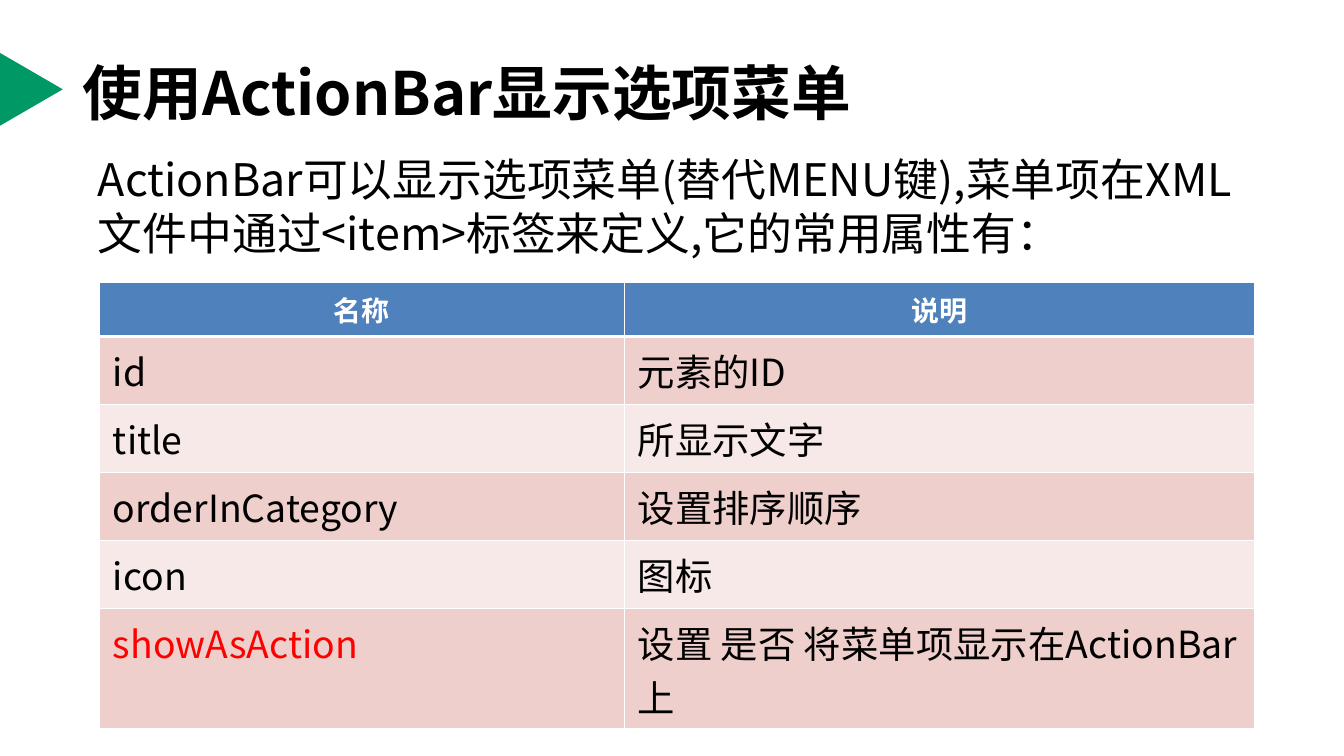
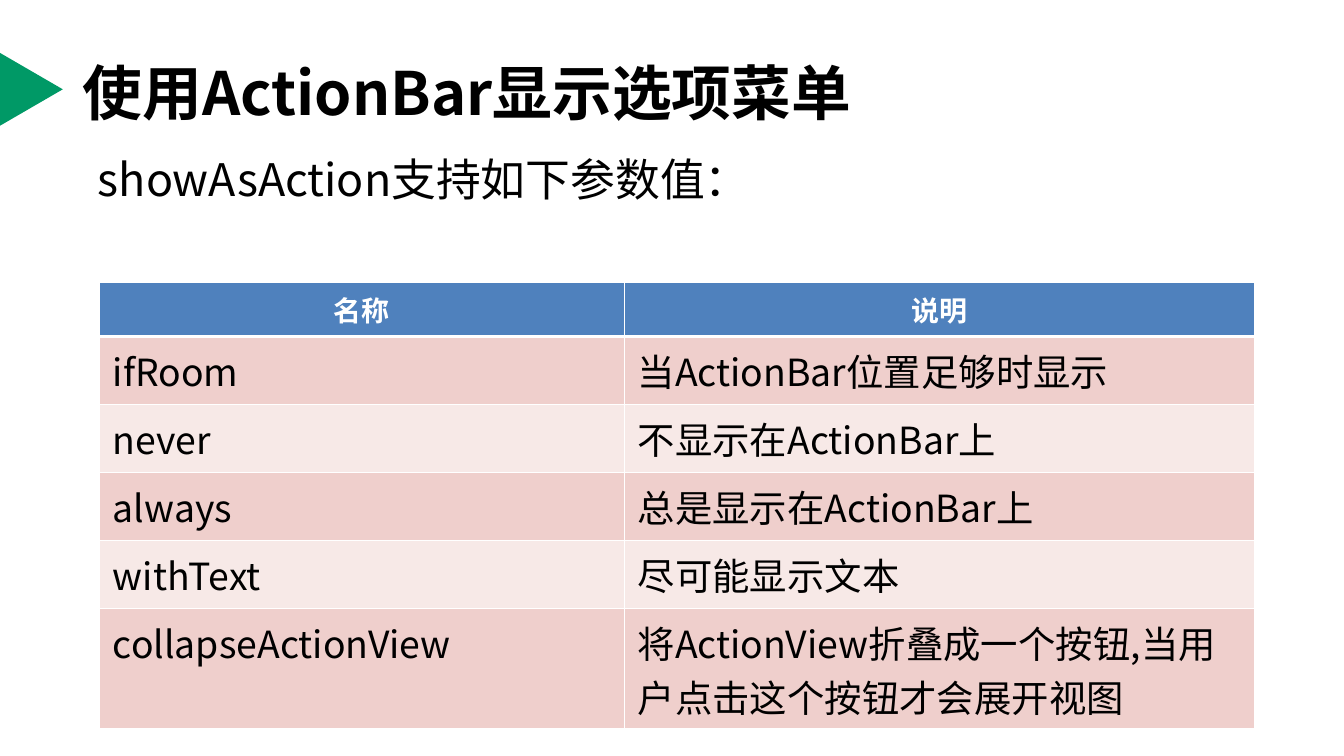
"""Build two slides on showing an option menu in the ActionBar."""
from lxml import etree
from pptx import Presentation
from pptx.dml.color import RGBColor
from pptx.enum.shapes import MSO_SHAPE
from pptx.enum.text import MSO_ANCHOR, MSO_AUTO_SIZE, PP_ALIGN
from pptx.oxml.ns import qn
from pptx.util import Pt

TRIANGLE = MSO_SHAPE.ISOSCELES_TRIANGLE
MIDDLE = MSO_ANCHOR.MIDDLE
NO_FIT = MSO_AUTO_SIZE.NONE
LEFT, CENTER = PP_ALIGN.LEFT, PP_ALIGN.CENTER

SCALE = 4572
TITLE_ONLY = 5
SANS, ARIAL = "Noto Sans CJK SC", "Arial"
COLORS = {
    "green": "009966", "black": "000000", "white": "FFFFFF",
    "red": "FF0000", "head": "4F81BD", "dark": "EFCFCC", "light": "F7E9E7",
}
COLS = (781, 937)
ROWS = (81, 101, 101, 101, 101, 179)
THIN, THICK = 0.45, 1.47

TITLE = "使用ActionBar显示选项菜单"
HEADER = ("名称", "说明")
SLIDES = (
    (
        "ActionBar可以显示选项菜单(替代MENU键),菜单项在XML文件中通过<item>标签来定义,它的常用属性有：",
        (
            ("id", "元素的ID"),
            ("title", "所显示文字"),
            ("orderInCategory", "设置排序顺序"),
            ("icon", "图标"),
            ("showAsAction", "设置 是否 将菜单项显示在ActionBar上"),
        ),
        "showAsAction",
    ),
    (
        "showAsAction支持如下参数值：",
        (
            ("ifRoom", "当ActionBar位置足够时显示"),
            ("never", "不显示在ActionBar上"),
            ("always", "总是显示在ActionBar上"),
            ("withText", "尽可能显示文本"),
            ("collapseActionView", "将ActionView折叠成一个按钮,当用户点击这个按钮才会展开视图"),
        ),
        None,
    ),
)


def px(*nums):
    """Turn px lengths into EMU."""
    return [num * SCALE for num in nums]


def rgb(name):
    """Look up a palette colour."""
    return RGBColor.from_string(COLORS[name])


def write(frame, text, size, color="black", bold=False, face=SANS, align=LEFT):
    """Fill a text frame with one formatted paragraph."""
    frame.text = text
    para = frame.paragraphs[0]
    para.alignment = align
    for run in para.runs:
        font = run.font
        font.size, font.bold, font.name = Pt(size), bold, face
        font.color.rgb = rgb(color)
        east = etree.SubElement(run._r.get_or_add_rPr(), qn("a:ea"))
        east.set("typeface", SANS)


def add_mark(slide):
    """Draw the green pointer at the left edge."""
    mark = slide.shapes.add_shape(TRIANGLE, *px(-8, 86, 109, 94))
    mark.rotation = 90
    mark.shadow.inherit = False
    mark.fill.solid()
    mark.fill.fore_color.rgb = rgb("green")
    mark.line.fill.background()


def add_title(slide, text):
    """Place and write the title."""
    title = slide.shapes.title
    title.left, title.top, title.width, title.height = px(103, 42, 1800, 188)
    frame = title.text_frame
    frame.auto_size = NO_FIT
    frame.vertical_anchor = MIDDLE
    write(frame, text, 32, bold=True)


def add_intro(slide, text):
    """Write the lead text above the table."""
    frame = slide.shapes.add_textbox(*px(126, 216, 1740, 204)).text_frame
    frame.word_wrap = True
    write(frame, text, 24)


def set_edges(cell, top, base):
    """Give a cell white borders with chosen top and base widths."""
    props = cell._tc.get_or_add_tcPr()
    for tag, width in (("lnL", THIN), ("lnR", THIN), ("lnT", top), ("lnB", base)):
        edge = etree.SubElement(props, qn(f"a:{tag}"), w=str(Pt(width)))
        fill = etree.SubElement(edge, qn("a:solidFill"))
        etree.SubElement(fill, qn("a:srgbClr"), val=COLORS["white"])


def set_cell(cell, row, text, accent):
    """Style and write one table cell."""
    set_edges(cell, THICK if row == 1 else THIN, THICK if row == 0 else THIN)
    cell.fill.solid()
    if row == 0:
        cell.fill.fore_color.rgb = rgb("head")
        write(cell.text_frame, text, 15, "white", True, ARIAL, CENTER)
    else:
        cell.fill.fore_color.rgb = rgb("dark" if row % 2 else "light")
        write(cell.text_frame, text, 20, "red" if text == accent else "black")


def add_grid(slide, rows, accent):
    """Build the table of names and meanings."""
    place = px(148, 420, sum(COLS), sum(ROWS))
    grid = slide.shapes.add_table(len(ROWS), len(COLS), *place).table
    for col, width in zip(grid.columns, px(*COLS)):
        col.width = width
    for row, height in zip(grid.rows, px(*ROWS)):
        row.height = height
    for i, texts in enumerate((HEADER, *rows)):
        for j, text in enumerate(texts):
            set_cell(grid.cell(i, j), i, text, accent)


def main():
    """Build and save the deck."""
    deck = Presentation()
    deck.slide_width, deck.slide_height = px(2000, 1125)
    for intro, rows, accent in SLIDES:
        slide = deck.slides.add_slide(deck.slide_layouts[TITLE_ONLY])
        add_mark(slide)
        add_title(slide, TITLE)
        add_intro(slide, intro)
        add_grid(slide, rows, accent)
    deck.save("out.pptx")


if __name__ == "__main__":
    main()
